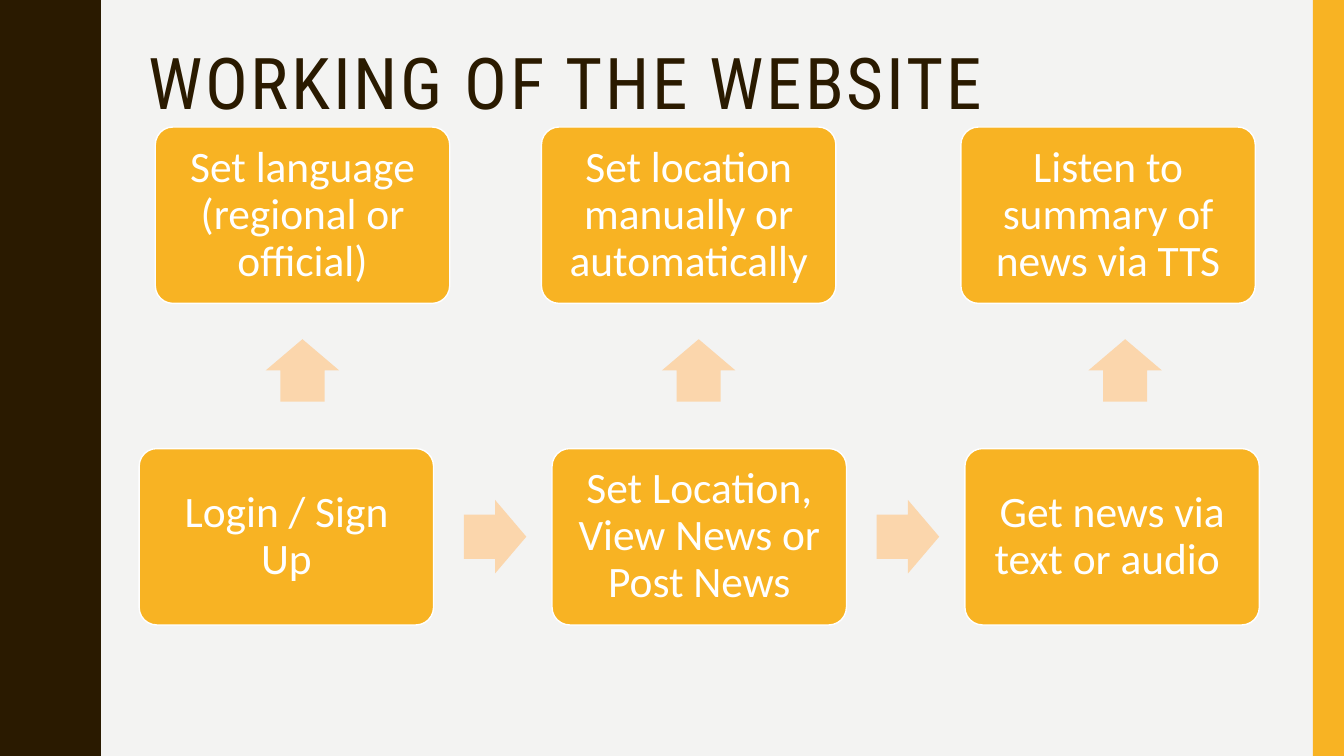
from pptx import Presentation
from pptx.dml.color import RGBColor
from pptx.enum.shapes import MSO_SHAPE
from pptx.enum.text import MSO_ANCHOR, MSO_AUTO_SIZE, PP_ALIGN
from pptx.util import Inches, Pt

WIDTH, HEIGHT = 13.33, 7.5
DARK, GOLD, PEACH, WHITE, PAPER = "2A1A00", "F8B323", "FBD6AC", "FFFFFF", "F3F3F2"
BOX_WIDTH, BOX_HEIGHT = 2.92, 1.75
ARROW_WIDTH, ARROW_HEIGHT = 0.62, 0.73
FIRST_COLUMN, COLUMN_STEP = 1.38, 4.095
TOP_ROW, ARROW_ROW, BOTTOM_ROW = 1.26, 3.31, 4.45
WAVE_COUNT = 5
WAVE_PERIOD = HEIGHT / WAVE_COUNT
WAVE_RISE = [(0.78, 0), (0.78, 0.07), (0.79, 0.14), (0.8, 0.2),
             (0.81, 0.25), (0.83, 0.29), (0.85, 0.33)]
MAIN_STEPS = ["Login / Sign Up", "Set Location, View News or Post News",
              "Get news via text or audio "]
DETAILS = [("Set language (regional or official)", 1.54, 2.69),
           ("Set location manually or automatically", 5.37, 6.62),
           ("Listen to summary of news via TTS", 9.53, 10.85)]


def color(value):
    """Turn a hex string into a colour."""
    return RGBColor.from_string(value)


def set_values(target, values):
    """Set every attribute named in a dict of format values."""
    for name, value in values.items():
        setattr(target, name, value)


def paint(shape, fill, line=None):
    """Give a shape a plain fill, an optional outline and no shadow."""
    shape.shadow.inherit = False
    shape.fill.solid()
    shape.fill.fore_color.rgb = color(fill)
    if line:
        shape.line.color.rgb = color(line)
        shape.line.width = Pt(1)
    else:
        shape.line.fill.background()


def add_preset(slide, kind, left, top, width, height):
    """Add a preset shape measured in inches."""
    return slide.shapes.add_shape(
        kind, Inches(left), Inches(top), Inches(width), Inches(height))


def write(shape, text, frame_values, paragraph_values, font_values, font_color):
    """Put one formatted paragraph into a shape and return its run."""
    frame = shape.text_frame
    set_values(frame, {"word_wrap": True, "auto_size": MSO_AUTO_SIZE.NONE, **frame_values})
    paragraph = frame.paragraphs[0]
    set_values(paragraph, {"line_spacing": 0.9, **paragraph_values})
    run = paragraph.add_run()
    run.text = text
    set_values(run.font, font_values)
    run.font.color.rgb = color(font_color)
    return run


def add_box(slide, text, left, top):
    """Add a rounded step box with centred text."""
    box = add_preset(slide, MSO_SHAPE.ROUNDED_RECTANGLE, left, top, BOX_WIDTH, BOX_HEIGHT)
    box.adjustments[0] = 0.1
    paint(box, GOLD, WHITE)
    margins = dict.fromkeys(
        ("margin_left", "margin_right", "margin_top", "margin_bottom"), Inches(0.18))
    write(box, text, {"vertical_anchor": MSO_ANCHOR.MIDDLE, **margins},
          {"alignment": PP_ALIGN.CENTER}, {"name": "Calibri", "size": Pt(31)}, WHITE)


def add_arrow(slide, left, top, rotation=0):
    """Add a block arrow that points right unless rotated."""
    arrow = add_preset(slide, MSO_SHAPE.RIGHT_ARROW, left, top, ARROW_WIDTH, ARROW_HEIGHT)
    arrow.adjustments[0], arrow.adjustments[1] = 0.6, 0.5
    arrow.rotation = rotation
    paint(arrow, PEACH)


def add_wavy_edge(slide):
    """Add the dark left band whose right side repeats one wave."""
    half = WAVE_PERIOD / 2
    rise = WAVE_RISE + [(1.75 - x, half - y) for x, y in reversed(WAVE_RISE)]
    wave = rise + [(x, WAVE_PERIOD - y) for x, y in reversed(rise)]
    edge = [(x, y + index * WAVE_PERIOD) for index in range(WAVE_COUNT) for x, y in wave]
    builder = slide.shapes.build_freeform(0, 0, scale=Inches(1))
    builder.add_line_segments(edge + [(0, HEIGHT)], close=True)
    paint(builder.convert_to_shape(), DARK)


def add_title(slide, text):
    """Move and format the title placeholder."""
    title = slide.shapes.title
    set_values(title, {"left": Inches(1.37), "top": Inches(0.42),
                       "width": Inches(11.13), "height": Inches(1.63)})
    run = write(title, text, {"vertical_anchor": MSO_ANCHOR.TOP},
                {"alignment": PP_ALIGN.LEFT},
                {"name": "Roboto Condensed", "size": Pt(51)}, DARK)
    run.font._element.set("spc", "200")


def main():
    """Build the slide and save it."""
    presentation = Presentation()
    set_values(presentation, {"slide_width": Inches(WIDTH), "slide_height": Inches(HEIGHT)})
    slide = presentation.slides.add_slide(presentation.slide_layouts[5])
    slide.background.fill.solid()
    slide.background.fill.fore_color.rgb = color(PAPER)
    add_wavy_edge(slide)
    paint(add_preset(slide, MSO_SHAPE.RECTANGLE, WIDTH - 0.31, 0, 0.31, HEIGHT), GOLD)
    add_title(slide, "WORKING OF THE WEBSITE")
    for index, text in enumerate(MAIN_STEPS):
        left = FIRST_COLUMN + index * COLUMN_STEP
        add_box(slide, text, left, BOTTOM_ROW)
        if index < len(MAIN_STEPS) - 1:
            add_arrow(slide, left + BOX_WIDTH + 0.3,
                      BOTTOM_ROW + (BOX_HEIGHT - ARROW_HEIGHT) / 2)
    for text, box_left, arrow_left in DETAILS:
        add_box(slide, text, box_left, TOP_ROW)
        add_arrow(slide, arrow_left, ARROW_ROW, 270)
    presentation.save("out.pptx")


if __name__ == "__main__":
    main()
